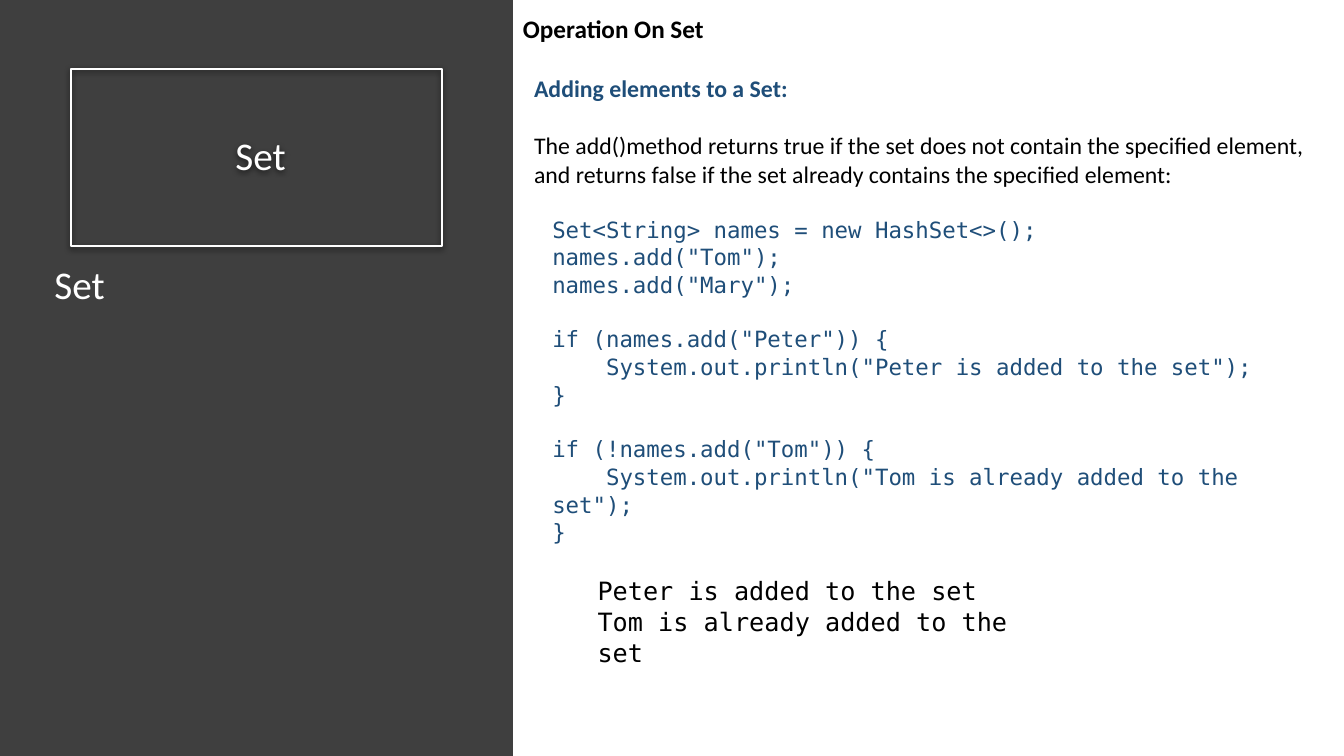
from lxml.etree import SubElement
from pptx import Presentation
from pptx.dml.color import RGBColor
from pptx.enum.shapes import MSO_SHAPE as Shape
from pptx.enum.text import MSO_ANCHOR as Anchor, MSO_AUTO_SIZE as AutoSize, PP_ALIGN as Align
from pptx.oxml.ns import qn
from pptx.util import Cm, Pt

COLOURS = {"panel": "3F3F3F", "white": "FFFFFF", "black": "000000", "blue": "1F4E79"}
SANS = "Calibri"
MONO = "DejaVu Sans Mono"

CODE = """Set<String> names = new HashSet<>();
names.add("Tom");
names.add("Mary");

if (names.add("Peter")) {
    System.out.println("Peter is added to the set");
}

if (!names.add("Tom")) {
    System.out.println("Tom is already added to the set");
}"""
OUTPUT = """Peter is added to the set
Tom is already added to the set"""
DESCRIPTION = (
    "The add()method returns true if the set does not contain the specified element, "
    "and returns false if the set already contains the specified element:"
)


def colour(name):
    return RGBColor.from_string(COLOURS[name])


def apply(target, values):
    for attribute, value in values.items():
        setattr(target, attribute, value)


def add_rectangle(slide, place, fill=None, line=None):
    rectangle = slide.shapes.add_shape(Shape.RECTANGLE, *map(Cm, place))
    rectangle.shadow.inherit = False
    if fill:
        rectangle.fill.solid()
        rectangle.fill.fore_color.rgb = colour(fill)
    else:
        rectangle.fill.background()
    if line:
        rectangle.line.color.rgb = colour(line)
        rectangle.line.width = Pt(1.5)
    else:
        rectangle.line.fill.background()
    return rectangle


def add_drop_shadow(rectangle):
    effects = rectangle.element.spPr.find(qn("a:effectLst"))
    shadow = SubElement(effects, qn("a:outerShdw"), blurRad=str(Pt(4.5)),
                        dist=str(Pt(1.5)), dir="5400000", algn="ctr", rotWithShape="0")
    black = SubElement(shadow, qn("a:srgbClr"), val=COLOURS["black"])
    SubElement(black, qn("a:alpha"), val="63000")


def add_frame(slide, place, **frame_format):
    frame = slide.shapes.add_textbox(*map(Cm, place)).text_frame
    apply(frame, {"word_wrap": True, **frame_format})
    return frame


def write(frame, text, size, ink, typeface=SANS, bold=False, **paragraph_format):
    paragraph = frame.paragraphs[0]
    if paragraph.runs:
        paragraph = frame.add_paragraph()
    apply(paragraph, paragraph_format)
    run = paragraph.add_run()
    run.text = text
    apply(run.font, {"name": typeface, "size": Pt(size), "bold": bold})
    run.font.color.rgb = colour(ink)


def add_listing(slide, place, listing, size, ink, spacing):
    margins = dict.fromkeys(("margin_left", "margin_top", "margin_right", "margin_bottom"), 0)
    frame = add_frame(slide, place, vertical_anchor=Anchor.MIDDLE,
                      auto_size=AutoSize.SHAPE_TO_FIT_TEXT, **margins)
    gap = Pt(0)
    for row in listing.splitlines():
        if row:
            write(frame, row, size, ink, MONO, line_spacing=spacing, space_before=gap)
            gap = Pt(0)
        else:
            gap = Pt(size * 1.2)


def add_side_panel(slide):
    add_rectangle(slide, (0, 0, 12.93, 19.05), fill="panel")
    title = add_rectangle(slide, (1.78, 1.73, 9.35, 4.47), line="white")
    add_drop_shadow(title)
    apply(title.text_frame, {"word_wrap": True, "vertical_anchor": Anchor.MIDDLE})
    write(title.text_frame, " Set", 28, "white", alignment=Align.CENTER, line_spacing=0.9)
    topic = add_frame(slide, (1.12, 6.58, 10.36, 12.12))
    write(topic, "Set", 28, "white", line_spacing=0.9)


def add_explanation(slide):
    growing = {"auto_size": AutoSize.SHAPE_TO_FIT_TEXT}
    heading = add_frame(slide, (12.93, 0.2, 5.11, 1.02), **{**growing, "word_wrap": False})
    write(heading, "Operation On Set", 18, "black", bold=True)
    explanation = add_frame(slide, (13.21, 1.73, 20.5, 3.18), **growing)
    write(explanation, "Adding elements to a Set:", 17, "blue", bold=True)
    write(explanation, DESCRIPTION, 17, "black", space_before=Pt(20.5))


def main():
    deck = Presentation()
    apply(deck, {"slide_width": Cm(33.87), "slide_height": Cm(19.05)})
    slide = deck.slides.add_slide(deck.slide_layouts[6])
    add_side_panel(slide)
    add_explanation(slide)
    add_listing(slide, (13.92, 5.82, 19.23, 7.52), CODE, 16, "blue", 1.03)
    add_listing(slide, (15.06, 14.88, 10.85, 1.55), OUTPUT, 18, "black", 1.02)
    deck.save("out.pptx")


if __name__ == "__main__":
    main()
